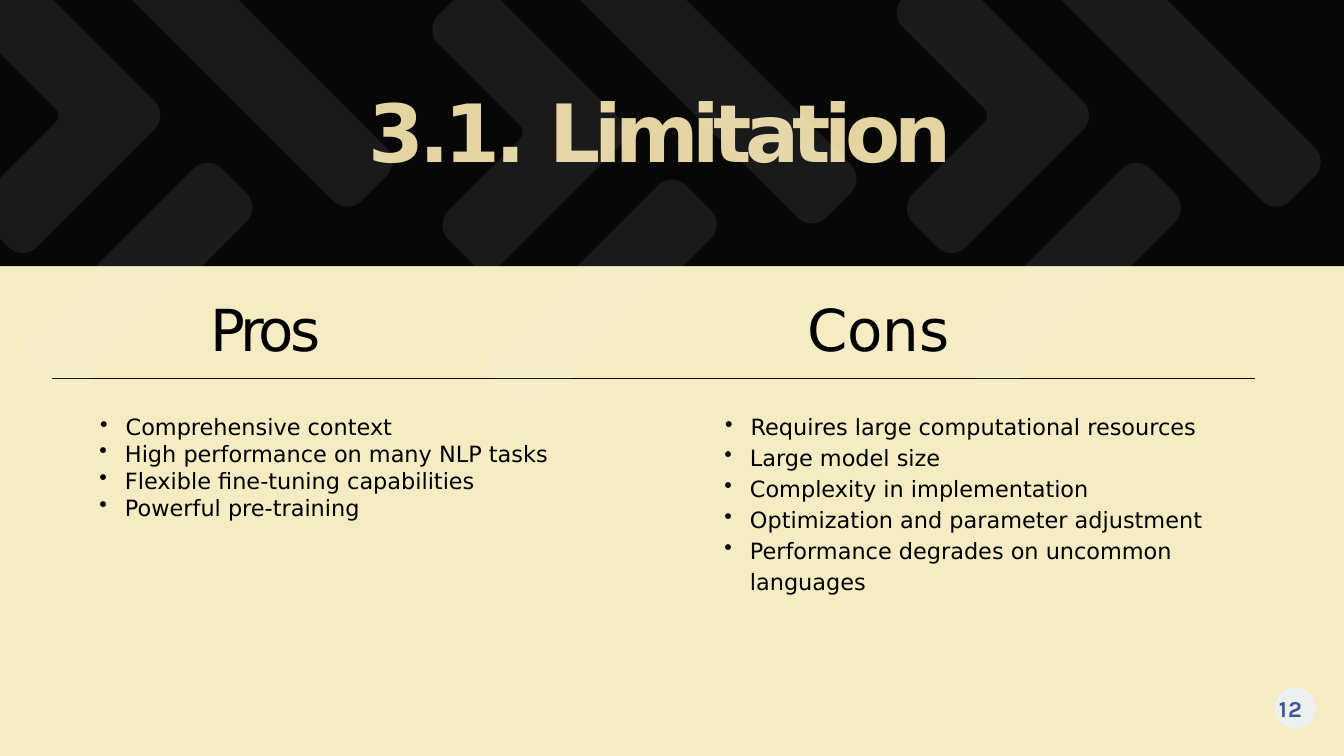
"""Build the "3.1. Limitation" slide with its pros and cons columns."""
from math import cos, dist, pi, sin

from lxml.etree import SubElement
from pptx import Presentation
from pptx.dml.color import RGBColor as RGB
from pptx.enum.shapes import MSO_CONNECTOR as CONN, MSO_SHAPE as SHAPE
from pptx.oxml.ns import qn
from pptx.util import Inches, Pt

COLORS = {"cream": "F5ECC4", "black": "070707", "gold": "E3D4A2", "text": "000000",
          "white": "FFFFFF", "badge": "ECF0F1", "number": "3F5895"}

TITLE = {"size": Pt(86), "name": "DejaVu Sans", "bold": True}
HEADING = {"size": Pt(62), "name": "DejaVu Sans"}
BODY = {"size": Pt(24), "name": "DejaVu Sans"}
NUMBER = {"size": Pt(24.5), "name": "Karla", "bold": True}

PROS = ["Comprehensive context", "High performance on many NLP tasks",
        "Flexible fine-tuning capabilities", "Powerful pre-training"]
CONS = ["Requires large computational resources", "Large model size",
        "Complexity in implementation", "Optimization and parameter adjustment",
        "Performance degrades on uncommon languages"]

CHEVRON = [(2.51, 1.72, 0.3), (0.34, 3.89, 0.3), (-0.45, 3.1, 0.3),
           (0.93, 1.72, 0.15), (-0.6, 0.19, 0.3), (0.19, -0.6, 0.3)]
RISING_BAR = [(3.88, 3.09, 0.3), (1.02, 5.95, 0.3), (0.23, 5.16, 0.3), (3.09, 2.3, 0.3)]
FALLING_BAR = [(5.96, 2.41, 0.3), (5.17, 3.2, 0.3), (0.97, -1, 0), (2.55, -1, 0)]


def rounded_outline(corners, dx, dy):
    pts = []
    for i, (x, y, radius) in enumerate(corners):
        before, after = corners[i - 1], corners[(i + 1) % len(corners)]
        (ax, ay), (bx, by) = [((n[0] - x) / dist(n[:2], (x, y)), (n[1] - y) / dist(n[:2], (x, y)))
                              for n in (before, after)]
        for step in range(9):
            c, q = cos(step * pi / 16), sin(step * pi / 16)
            pts.append((x + dx + radius * (ax * (1 - q) + bx * (1 - c)),
                        y + dy + radius * (ay * (1 - q) + by * (1 - c))))
    for axis in (0, 1):
        kept = []
        for a, b in zip(pts, pts[1:] + pts[:1]):
            if a[axis] >= 0:
                kept.append(a)
            if (a[axis] >= 0) != (b[axis] >= 0):
                t = a[axis] / (a[axis] - b[axis])
                kept.append((a[0] + t * (b[0] - a[0]), a[1] + t * (b[1] - a[1])))
        pts = kept
    return [(Inches(x), Inches(y)) for x, y in pts]


def add_text(s, box, top_inset, lines, fmt, color):
    tf = s.shapes.add_textbox(*map(Inches, box)).text_frame
    frame = {"word_wrap": True, "margin_left": 0, "margin_right": 0,
             "margin_top": Inches(top_inset), "margin_bottom": 0}
    for key, value in frame.items():
        setattr(tf, key, value)
    for i, (runs, indent, hanging, spacing, before) in enumerate(lines):
        p = tf.paragraphs[0] if i == 0 else tf.add_paragraph()
        p.line_spacing, p.space_before = spacing, Pt(before)
        pPr = p._p.get_or_add_pPr()
        pPr.set("marL", str(Inches(indent)))
        pPr.set("indent", str(Inches(hanging)))
        if hanging:
            SubElement(pPr, qn("a:buChar")).set("char", "•")
        for text, tracking in runs:
            r = p.add_run()
            r.text = text
            for key, value in fmt.items():
                setattr(r.font, key, value)
            r.font.color.rgb = RGB.from_string(COLORS[color])
            r._r.get_or_add_rPr().set("spc", str(round(tracking * 100)))


prs = Presentation()
prs.slide_width, prs.slide_height = Inches(20), Inches(11.25)
s = prs.slides.add_slide(prs.slide_layouts[6])

filled = []
for top, height, color in [(3.96, 7.29, "cream"), (0, 3.96, "black")]:
    sp = s.shapes.add_shape(SHAPE.RECTANGLE, 0, Inches(top), Inches(20), Inches(height))
    filled.append((sp, color))

add_text(s, (0.08, 0.22, 17.46, 2.47), 1.01,
         [([("3.1. ", -5.2), ("Limitation", -7)], 5.4, 0, 1, 1)], TITLE, "gold")
for left, width, heading, tracking in [(3.12, 5.33, "Pros", -4.2), (12, 5.16, "Cons", 0)]:
    add_text(s, (left, 4.36, width, 1.06), 0.01,
             [([(heading, tracking)], 0.01, 0, 1, 1)], HEADING, "text")
for left, height, items, spacing in [(1.48, 2.09, PROS, 1), (10.78, 2.81, CONS, 1.15)]:
    lines = [([(item, 0)], 0.39 if i == 0 else 0.38, -0.38, 1.15 if i == 0 else spacing,
              1 if i == 0 else 0) for i, item in enumerate(items)]
    add_text(s, (left, 6.08, 7.8, height), 0.01, lines, BODY, "text")

for start, end in [(0.78, 10), (10, 18.67)]:
    rule = s.shapes.add_connector(CONN.STRAIGHT, Inches(start), Inches(5.63), Inches(end), Inches(5.63))
    rule.line.color.rgb = RGB.from_string(COLORS["black"])
    rule.line.width = Pt(0.75)
    SubElement(rule._element.spPr, qn("a:effectLst"))

outlines = [rounded_outline(corners, dx, dy)
            for dx, dy in [(0, 0), (6.91, 0.25), (13.82, 0)]
            for corners in (CHEVRON, RISING_BAR, FALLING_BAR)]
builder = s.shapes.build_freeform(*outlines[0][0])
for i, pts in enumerate(outlines):
    if i:
        builder.move_to(*pts[0])
    builder.add_line_segments(pts[1:], close=True)
pattern = builder.convert_to_shape()
badge = s.shapes.add_shape(SHAPE.OVAL, Inches(18.97), Inches(10.23), Inches(0.61), Inches(0.61))
filled += [(pattern, "white"), (badge, "badge")]

for sp, color in filled:
    sp.shadow.inherit = False
    sp.line.fill.background()
    sp.fill.solid()
    sp.fill.fore_color.rgb = RGB.from_string(COLORS[color])
tint = pattern._element.spPr.find(qn("a:solidFill")).find(qn("a:srgbClr"))
SubElement(tint, qn("a:alpha")).set("val", "8000")

add_text(s, (19, 10.31, 0.58, 0.43), 0.02, [([("12", 1.4)], 0.03, 0, 1, 1.4)], NUMBER, "number")

prs.save("out.pptx")
